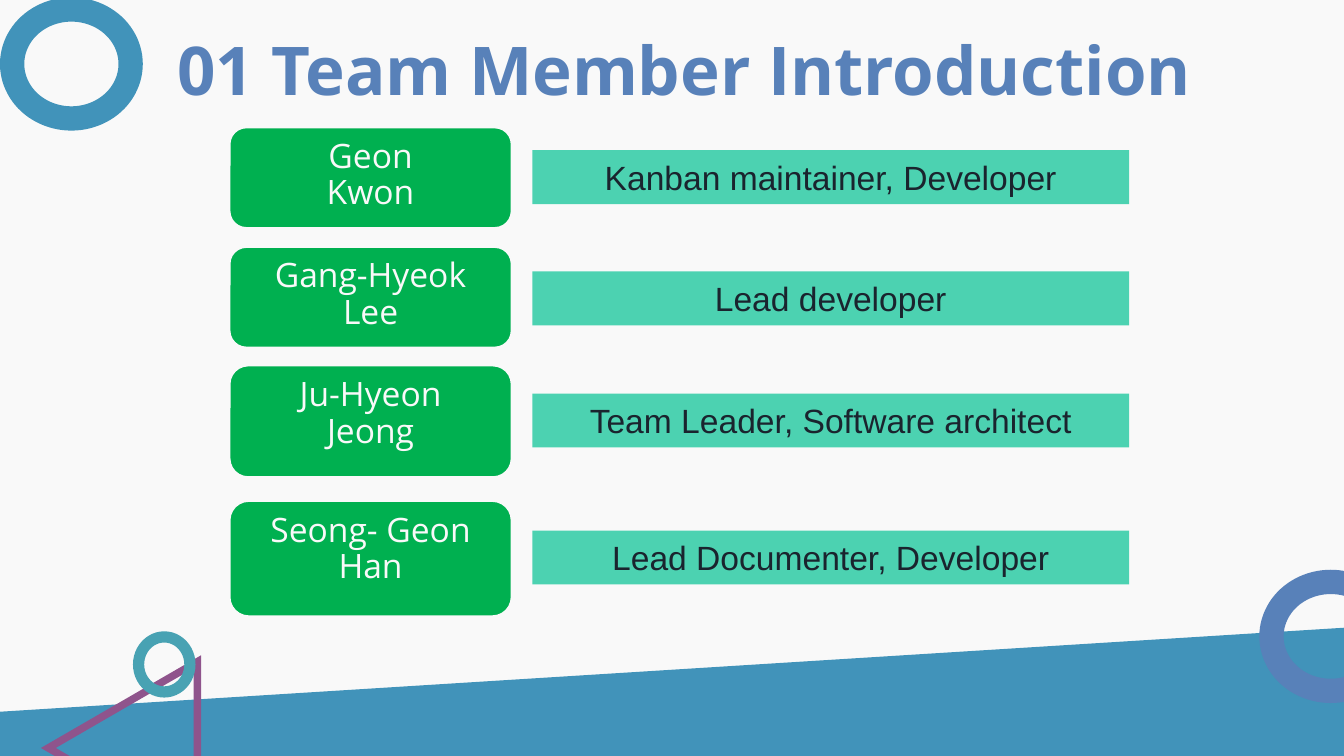
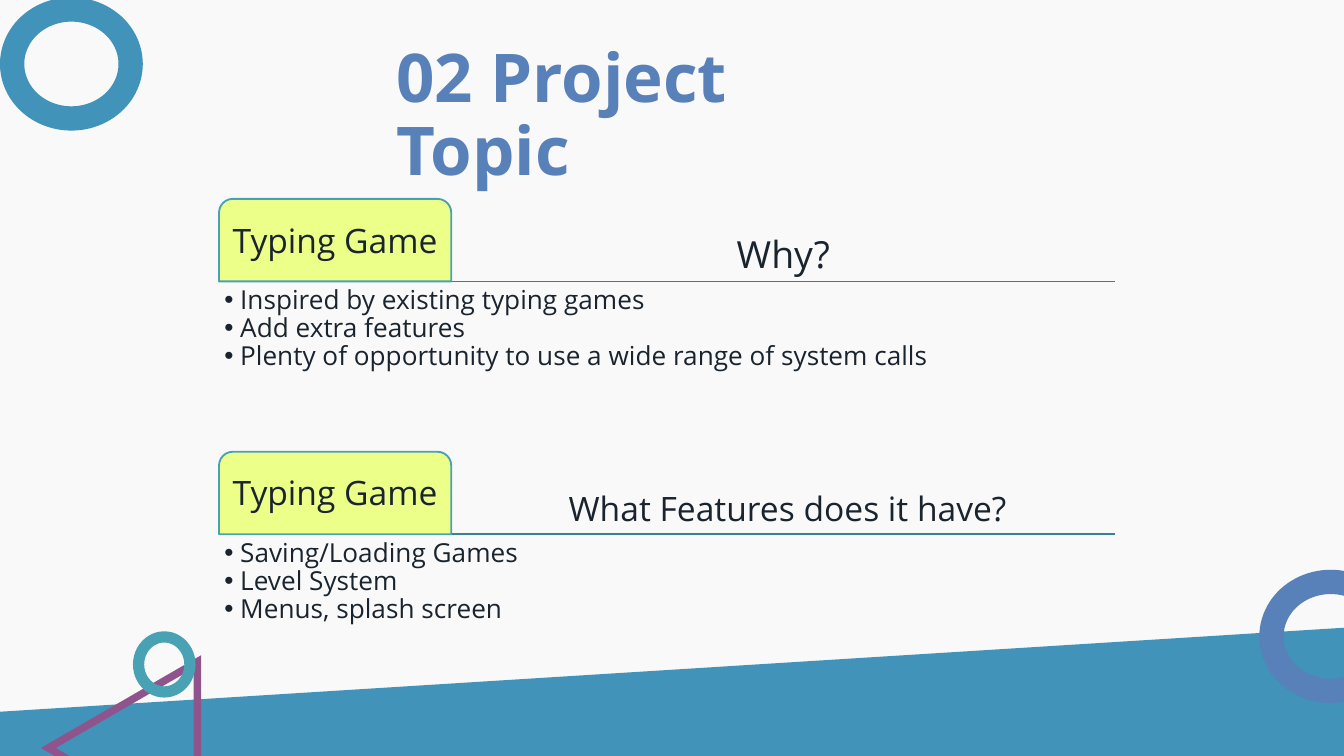
from dataclasses import dataclass
from pptx import Presentation
from pptx.dml.color import RGBColor
from pptx.enum.shapes import MSO_CONNECTOR, MSO_SHAPE
from pptx.enum.text import MSO_ANCHOR, MSO_AUTO_SIZE, PP_ALIGN
from pptx.oxml.ns import qn
from pptx.util import Cm, Pt
from lxml.etree import SubElement


@dataclass(frozen=True)
class Theme:
    paper: str = "F9F9F9"
    ink: str = "1A242E"
    title: str = "5881B9"
    blue: str = "4193BA"
    teal: str = "48A2B3"
    purple: str = "8F548C"
    green: str = "00B050"
    mint: str = "4CD2B1"
    lime: str = "ECFF88"
    rule: str = "3A828F"
    font: str = "Open Sans"
    role_font: str = "Arial"
    title_size: int = 36
    why_size: int = 20
    label_size: int = 18
    list_size: int = 14


T = Theme()

BAND = (9.53, 2.34, 6.35, 25.4)
OUTLINES = [
    (MSO_SHAPE.OVAL, (24.03, 11, 2.24, 2.06), 0, T.title, 13),
    (MSO_SHAPE.ISOSCELES_TRIANGLE, (1.4, 12.32, 3.25, 2.82), 30, T.purple, 4),
    (MSO_SHAPE.OVAL, (2.62, 12.04, 0.97, 1.04), 0, T.teal, 6),
    (MSO_SHAPE.OVAL, (0.23, 0.18, 2.24, 2.06), 0, T.blue, 13),
]

TEAM_TITLE = "01 Team Member Introduction"
TEAM = [
    (["Geon", "Kwon"], 2.41, 1.9, "Kanban maintainer, Developer", 2.84),
    (["Gang-Hyeok", "Lee"], 4.67, 1.9, "Lead developer", 5.13),
    (["Ju-Hyeon", "Jeong"], 6.91, 2.11, "Team Leader, Software architect", 7.44),
    (["Seong- Geon", "Han"], 9.47, 2.18, "Lead Documenter, Developer", 10.03),
]
NAME_LEFT, NAME_W = 4.34, 5.33
ROLE_LEFT, ROLE_W, ROLE_H = 10.06, 11.28, 1.02

TOPIC_TITLE = "02 Project Topic"
TOPICS = [
    ("Typing Game", "Why?", T.why_size, [
        "Inspired by existing typing games",
        "Add extra features",
        "Plenty of opportunity to use a wide range of system calls",
    ]),
    ("Typing Game", " What Features does it have?", T.label_size, [
        "Saving/Loading Games",
        "Level System",
        "Menus, splash screen",
    ]),
]
TOPIC_LEFT, TOPIC_TOP, TOPIC_W, TOPIC_STEP = 4.14, 3.76, 16.94, 4.78
TAB_W, TAB_H, LIST_H = 4.39, 1.56, 3.12
PAD = (0.1, 0.1, 0.1, 0.1)


def rgb(value):
    return RGBColor.from_string(value)


def place(sp, box):
    sp.left, sp.top, sp.width, sp.height = map(Cm, box)


def add_shape(slide, kind, box, fill=None, line=None, width=1):
    sp = slide.shapes.add_shape(kind, *map(Cm, box))
    sp.shadow.inherit = False
    if fill:
        sp.fill.solid()
        sp.fill.fore_color.rgb = rgb(fill)
    else:
        sp.fill.background()
    if line:
        sp.line.color.rgb = rgb(line)
        sp.line.width = Pt(width)
    else:
        sp.line.fill.background()
    return sp


def write(sp, lines, size, color=T.ink, font=T.font, bold=False,
          align=PP_ALIGN.CENTER, anchor=MSO_ANCHOR.MIDDLE,
          spacing=0.9, margins=(0.25, 0.13, 0.25, 0.13)):
    tf = sp.text_frame
    tf.word_wrap = True
    tf.auto_size = MSO_AUTO_SIZE.NONE
    tf.vertical_anchor = anchor
    tf.margin_left, tf.margin_top, tf.margin_right, tf.margin_bottom = map(Cm, margins)
    for i, text in enumerate(lines):
        p = tf.add_paragraph() if i else tf.paragraphs[0]
        p.alignment = align
        p.line_spacing = spacing
        p.space_before = p.space_after = Pt(0)
        r = p.add_run()
        r.text = text
        r.font.name, r.font.size, r.font.bold = font, Pt(size), bold
        r.font.color.rgb = rgb(color)
    return tf


def add_bullets(tf):
    for p in tf.paragraphs:
        pPr = p._p.get_or_add_pPr()
        pPr.set("marL", str(Cm(0.3)))
        pPr.set("indent", str(-Cm(0.3)))
        SubElement(pPr, qn("a:buFont")).set("typeface", "Arial")
        SubElement(pPr, qn("a:buChar")).set("char", "•")


def set_title(slide, text, box, margins):
    sp = slide.shapes.title
    place(sp, box)
    write(sp, [text], T.title_size, T.title, bold=True, align=PP_ALIGN.LEFT,
          anchor=MSO_ANCHOR.TOP, margins=margins)


def decorate_master(master, slide):
    master.background.fill.solid()
    master.background.fill.fore_color.rgb = rgb(T.paper)
    band = add_shape(slide, MSO_SHAPE.TRAPEZOID, BAND, fill=T.blue)
    band.rotation = 270
    shapes = [band]
    for kind, box, angle, color, width in OUTLINES:
        sp = add_shape(slide, kind, box, line=color, width=width)
        sp.rotation = angle
        SubElement(sp.element.spPr.find(qn("a:ln")), qn("a:miter")).set("lim", "800000")
        shapes.append(sp)
    for i, sp in enumerate(shapes):
        sp.element.nvSpPr.cNvPr.set("id", str(100 + i))
        master.element.cSld.spTree.insert(2 + i, sp.element)


def build_team(slide):
    set_title(slide, TEAM_TITLE, (1.47, 0.66, 22.71, 1.78), (1.88, 0.05, 0.25, 0.13))
    for name, top, height, role, role_top in TEAM:
        sp = add_shape(slide, MSO_SHAPE.ROUNDED_RECTANGLE,
                       (NAME_LEFT, top, NAME_W, height), T.green, T.paper)
        write(sp, name, T.label_size, T.paper, anchor=MSO_ANCHOR.TOP)
        sp = add_shape(slide, MSO_SHAPE.RECTANGLE,
                       (ROLE_LEFT, role_top, ROLE_W, ROLE_H), T.mint)
        write(sp, [role], T.label_size, font=T.role_font, spacing=1.0)


def build_topic(slide):
    set_title(slide, TOPIC_TITLE, (7.24, 0.64, 10.34, 1.8), (0.25, 0.2, 2.54, 0.13))
    bodies = [sp for sp in slide.placeholders if sp.placeholder_format.idx > 0]
    for i, (label, heading, size, items) in enumerate(TOPICS):
        top = TOPIC_TOP + i * TOPIC_STEP
        base = top + TAB_H
        rule = slide.shapes.add_connector(
            MSO_CONNECTOR.STRAIGHT, Cm(TOPIC_LEFT), Cm(base),
            Cm(TOPIC_LEFT + TOPIC_W), Cm(base))
        rule.line.color.rgb = rgb(T.rule)
        rule.line.width = Pt(1)
        SubElement(rule.element.spPr, qn("a:effectLst"))

        sp = slide.shapes.add_textbox(
            *map(Cm, (TOPIC_LEFT + TAB_W, top, TOPIC_W - TAB_W, TAB_H)))
        write(sp, [heading], size, anchor=MSO_ANCHOR.BOTTOM, margins=PAD)

        sp = add_shape(slide, MSO_SHAPE.ROUND_2_SAME_RECTANGLE,
                       (TOPIC_LEFT, top, TAB_W, TAB_H), T.lime, T.teal)
        write(sp, [label], T.label_size, margins=PAD)

        place(bodies[i], (TOPIC_LEFT, base, TOPIC_W, LIST_H))
        add_bullets(write(bodies[i], items, T.list_size, align=PP_ALIGN.LEFT,
                          anchor=MSO_ANCHOR.TOP, margins=PAD))


prs = Presentation()
prs.slide_width, prs.slide_height = Cm(25.4), Cm(14.29)
team = prs.slides.add_slide(prs.slide_layouts.get_by_name("Title Only"))
topic = prs.slides.add_slide(prs.slide_layouts.get_by_name("Two Content"))
decorate_master(prs.slide_master, team)
build_team(team)
build_topic(topic)
prs.save("out.pptx")
